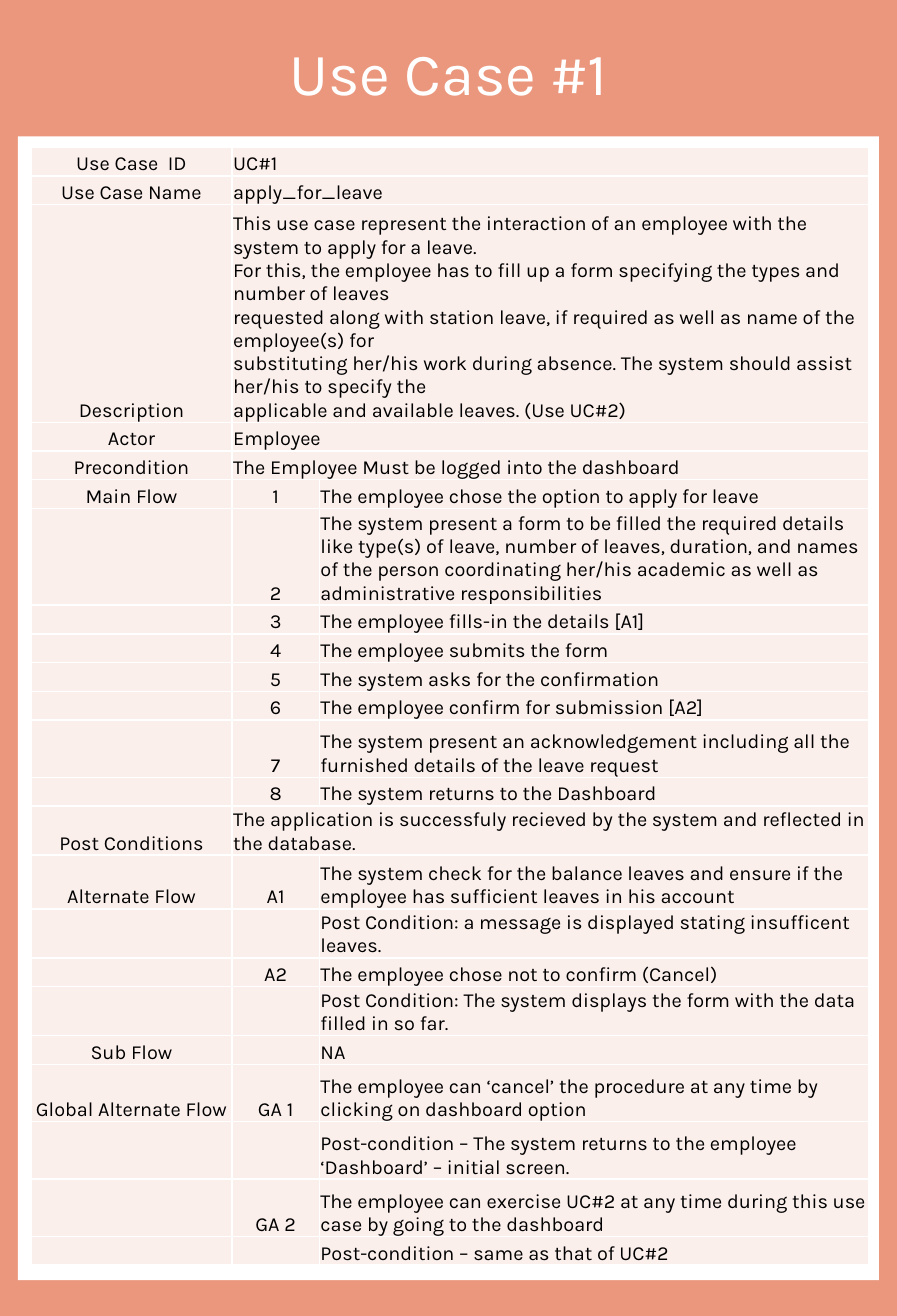
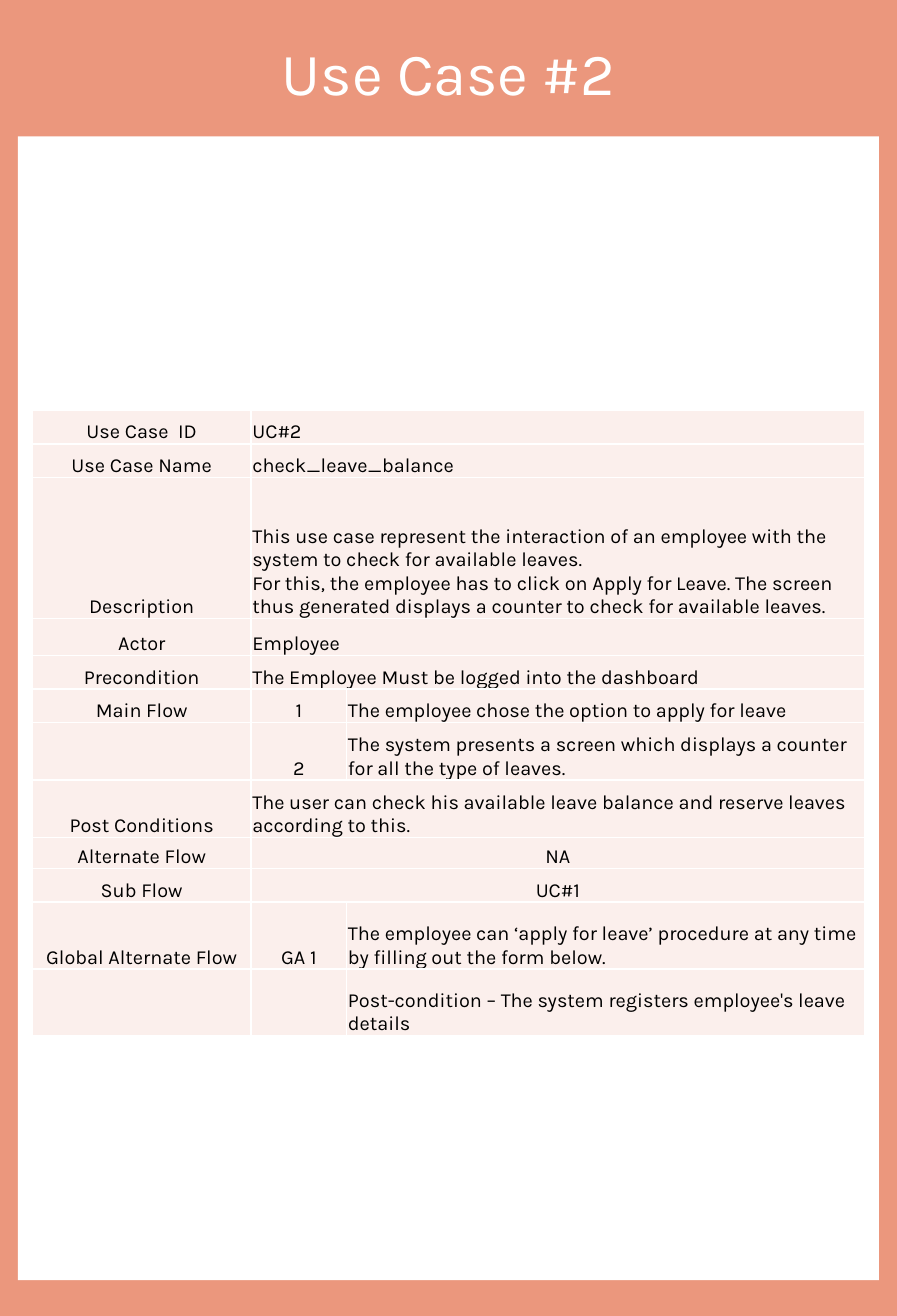
from dataclasses import dataclass
from typing import Any, Optional

from lxml.etree import SubElement
from pptx import Presentation
from pptx.dml.color import RGBColor
from pptx.enum.shapes import MSO_SHAPE as Preset
from pptx.enum.text import MSO_ANCHOR as Anchor, PP_ALIGN as Align
from pptx.oxml.ns import qn
from pptx.util import Inches, Pt


@dataclass(frozen=True)
class Theme:
    font: str = "Karla"
    coral: str = "EB977D"
    blush: str = "FBEFEC"
    white: str = "FFFFFF"
    black: str = "000000"
    title_size: int = 36
    cell_size: int = 12
    border_width: int = 1


@dataclass(frozen=True)
class Grid:
    width: float = 7.5
    height: float = 11
    columns: int = 50
    rows: int = 100

    def across(self, columns: float) -> int:
        return Inches(self.width * columns / self.columns)

    def down(self, rows: float) -> int:
        return Inches(self.height * rows / self.rows)


@dataclass(frozen=True)
class Box:
    left: float
    top: float
    width: float
    height: float

    def place(self) -> dict[str, int]:
        return {
            "left": GRID.across(self.left),
            "top": GRID.down(self.top),
            "width": GRID.across(self.width),
            "height": GRID.down(self.height),
        }


@dataclass(frozen=True)
class Row:
    label: str
    text: str
    step: Optional[str] = None
    height: Optional[float] = None
    centered: bool = False


@dataclass(frozen=True)
class UseCase:
    title: str
    left: float
    top: float
    columns: tuple[float, float, float]
    row_height: float
    rows: list[Row]

    def heights(self) -> list[float]:
        return [row.height or self.row_height for row in self.rows]


THEME = Theme()
GRID = Grid()
PANEL = Box(1, 2.64, 48, 94.64)
BAND = Box(0, 2.09, 50, 8.27)
TITLE = Box(4.73, 2.09, 40.53, 7.36)
CELL_FORMAT = {
    "margin_left": Inches(0.01),
    "margin_right": Inches(0.01),
    "margin_top": Inches(0.01),
    "margin_bottom": 0,
    "vertical_anchor": Anchor.BOTTOM,
}

USE_CASES = [
    UseCase("Use Case #1", 1.73, 11.18, (11.2, 4.87, 30.6), 2.18, [
        Row("Use Case  ID", "UC#1"),
        Row("Use Case Name", "apply_for_leave"),
        Row("Description",
            "This use case represent the interaction of an employee with the system to apply for a leave.\n"
            "For this, the employee has to fill up a form specifying the types and number of leaves\n"
            "requested along with station leave, if required as well as name of the employee(s) for\n"
            "substituting her/his work during absence. The system should assist her/his to specify the\n"
            "applicable and available leaves. (Use UC#2)", height=16.55),
        Row("Actor", "Employee"),
        Row("Precondition", "The Employee Must be logged into the dashboard"),
        Row("Main Flow", "The employee chose the option to apply for leave", "1"),
        Row("", "The system present a form to be filled the required details like type(s) of leave, "
            "number of leaves, duration, and names of the person coordinating her/his academic "
            "as well as administrative responsibilities", "2", 7.36),
        Row("", "The employee fills-in the details [A1]", "3"),
        Row("", "The employee submits the form", "4"),
        Row("", "The system asks for the confirmation", "5"),
        Row("", "The employee confirm for submission [A2]", "6"),
        Row("", "The system present an acknowledgement including all the furnished details "
            "of the leave request", "7", 4.36),
        Row("", "The system returns to the Dashboard", "8"),
        Row("Post Conditions", "The application is successfuly recieved by the system and "
            "reflected in the database.", height=3.73),
        Row("Alternate Flow", "The system check for the balance leaves and ensure if the employee "
            "has sufficient leaves in his account", "A1", 4.09),
        Row("", "Post Condition: a message is displayed stating insufficent leaves.", "", 3.73),
        Row("", "The employee chose not to confirm (Cancel)", "A2"),
        Row("", "Post Condition: The system displays the form with the data filled in so far.", "", 3.73),
        Row("Sub Flow", "NA", ""),
        Row("Global Alternate Flow", "The employee can ‘cancel’ the procedure at any time by "
            "clicking on dashboard option", "GA 1", 4.36),
        Row("", "Post-condition – The system returns to the employee ‘Dashboard’ – initial screen.", "", 4.36),
        Row("", "The employee can exercise UC#2 at any time during this use case by going to "
            "the dashboard", "GA 2", 4.36),
        Row("", "Post-condition – same as that of UC#2", ""),
    ]),
    UseCase("Use Case #2", 1.8, 31.18, (12.2, 5.33, 28.87), 2.55, [
        Row("Use Case  ID", "UC#2"),
        Row("Use Case Name", "check_leave_balance"),
        Row("Description",
            "This use case represent the interaction of an employee with the system to check for "
            "available leaves.\n"
            "For this, the employee has to click on Apply for Leave. The screen thus generated "
            "displays a counter to check for available leaves.", height=10.73),
        Row("Actor", "Employee", height=2.82),
        Row("Precondition", "The Employee Must be logged into the dashboard"),
        Row("Main Flow", "The employee chose the option to apply for leave", "1"),
        Row("", "The system presents a screen which displays a counter for all the type of leaves.", "2", 4.36),
        Row("Post Conditions", "The user can check his available leave balance and reserve leaves "
            "according to this.", height=4.36),
        Row("Alternate Flow", "NA", height=2.36, centered=True),
        Row("Sub Flow", "UC#1", centered=True),
        Row("Global Alternate Flow", "The employee can ‘apply for leave’ procedure at any time by "
            "filling out the form below.", "GA 1", 5.09),
        Row("", "Post-condition – The system registers employee's leave details", "", 5.09),
    ]),
]


def apply_format(target: Any, values: dict[str, Any]) -> None:
    for name, value in values.items():
        setattr(target, name, value)


def paint(fill: Any, color: str) -> None:
    fill.solid()
    fill.fore_color.rgb = RGBColor.from_string(color)


def write(paragraph: Any, text: str, size: int, color: str, align: Align) -> None:
    paragraph.text = text
    paragraph.alignment = align
    for run in paragraph.runs:
        apply_format(run.font, {"name": THEME.font, "size": Pt(size)})
        run.font.color.rgb = RGBColor.from_string(color)
    points = str(size * 100)
    for line_break in paragraph._p.findall(qn("a:br")):
        SubElement(line_break, qn("a:rPr"), sz=points)
    if not text:
        SubElement(paragraph._p, qn("a:endParaRPr"), sz=points)


def add_rectangle(slide: Any, box: Box, color: str) -> None:
    shape = slide.shapes.add_shape(Preset.RECTANGLE, **box.place())
    shape.shadow.inherit = False
    paint(shape.fill, color)
    shape.line.fill.background()


def add_title(slide: Any, text: str) -> None:
    title = slide.shapes.title
    title.element.getparent().append(title.element)
    apply_format(title, TITLE.place())
    apply_format(title.text_frame, {"vertical_anchor": Anchor.MIDDLE, "word_wrap": True})
    paragraph = title.text_frame.paragraphs[0]
    write(paragraph, text, THEME.title_size, THEME.white, Align.CENTER)
    paragraph.line_spacing = 0.9


def format_cell(cell: Any) -> None:
    apply_format(cell, CELL_FORMAT)
    properties = cell._tc.get_or_add_tcPr()
    for side in "LRTB":
        line = SubElement(properties, qn(f"a:ln{side}"), w=str(Pt(THEME.border_width)))
        solid = SubElement(line, qn("a:solidFill"))
        SubElement(solid, qn("a:srgbClr"), val=THEME.white)
    paint(cell.fill, THEME.blush)


def add_use_case_table(slide: Any, use_case: UseCase) -> None:
    heights = use_case.heights()
    box = Box(use_case.left, use_case.top, sum(use_case.columns), sum(heights))
    table = slide.shapes.add_table(len(heights), len(use_case.columns), **box.place()).table
    apply_format(table, {"first_row": False, "horz_banding": False})
    for column, width in zip(table.columns, use_case.columns):
        column.width = GRID.across(width)
    for index, (row, height) in enumerate(zip(use_case.rows, heights)):
        table.rows[index].height = GRID.down(height)
        cells = [table.cell(index, column) for column in range(len(use_case.columns))]
        text_align = Align.CENTER if row.centered else Align.LEFT
        if row.step is None:
            cells[1].merge(cells[2])
            entries = [(row.label, Align.CENTER), (row.text, text_align), ("", Align.LEFT)]
        else:
            entries = [(row.label, Align.CENTER), (row.step, Align.CENTER), (row.text, text_align)]
        for cell, (text, align) in zip(cells, entries):
            format_cell(cell)
            write(cell.text_frame.paragraphs[0], text, THEME.cell_size, THEME.black, align)


def main() -> None:
    presentation = Presentation()
    apply_format(presentation, {
        "slide_width": GRID.across(GRID.columns),
        "slide_height": GRID.down(GRID.rows),
    })
    paint(presentation.slide_master.background.fill, THEME.coral)
    title_only = presentation.slide_layouts[5]
    for use_case in USE_CASES:
        slide = presentation.slides.add_slide(title_only)
        add_rectangle(slide, PANEL, THEME.white)
        add_rectangle(slide, BAND, THEME.coral)
        add_title(slide, use_case.title)
        add_use_case_table(slide, use_case)
    presentation.save("out.pptx")


if __name__ == "__main__":
    main()
